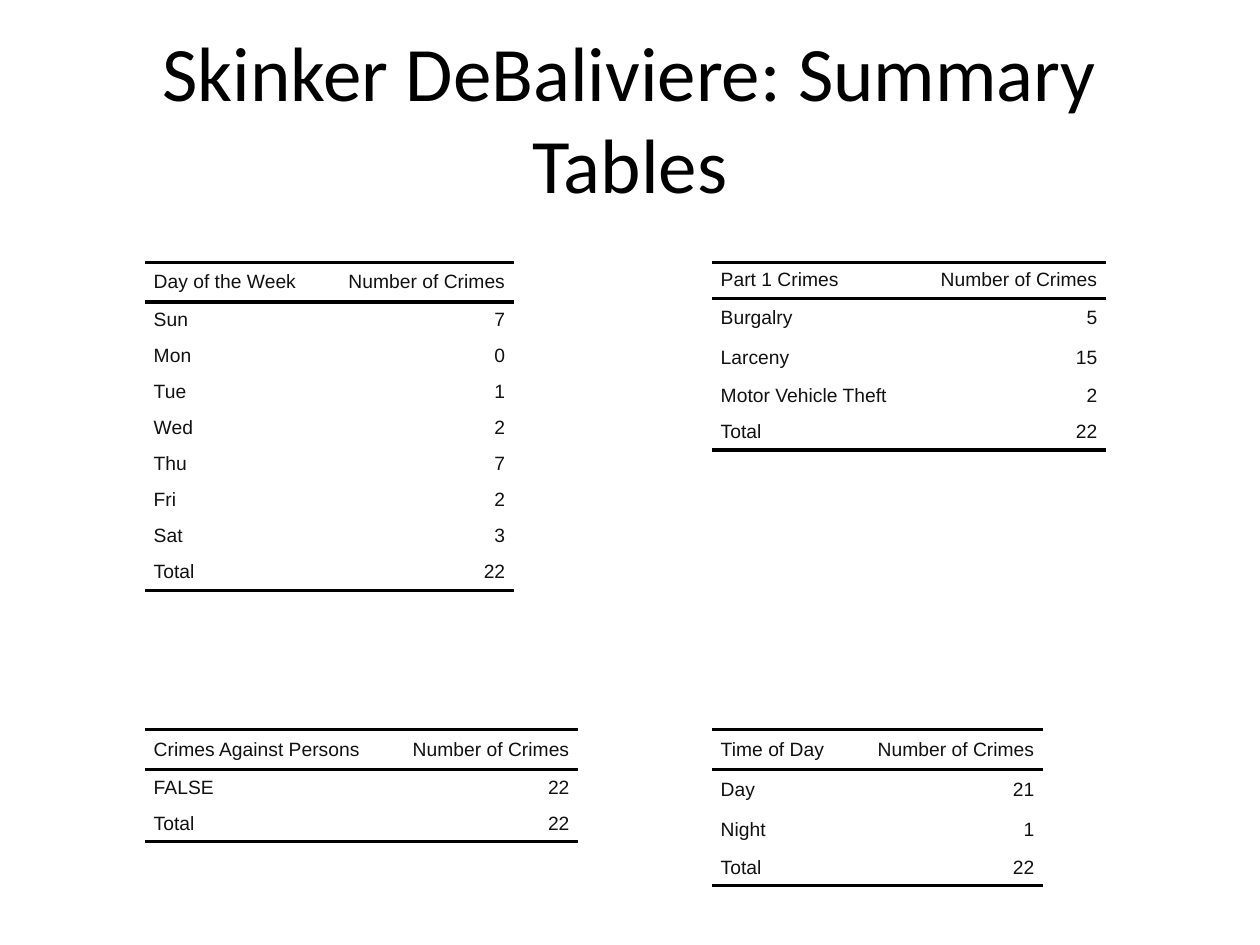
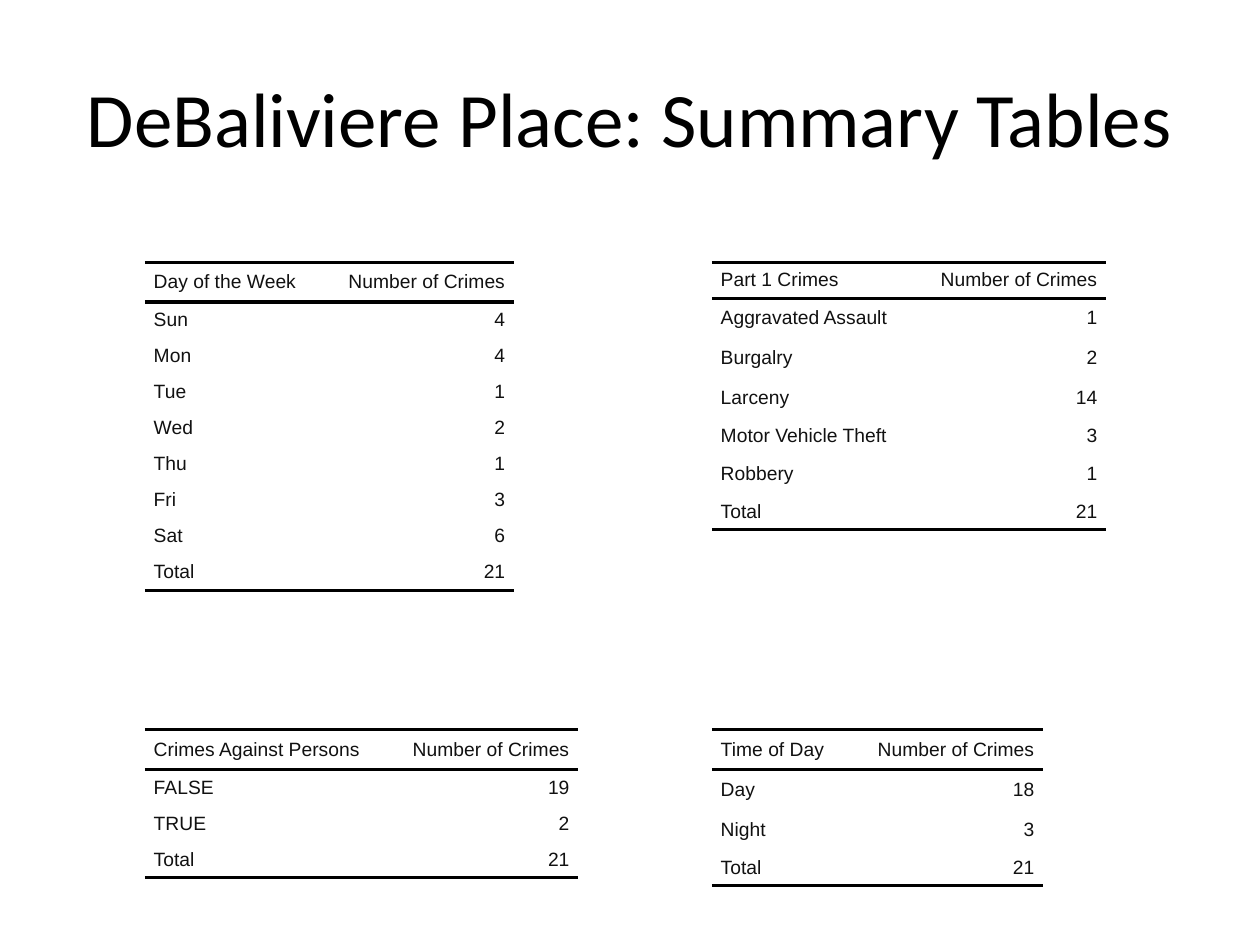
from lxml.etree import SubElement
from pptx import Presentation
from pptx.dml.color import RGBColor
from pptx.enum.text import MSO_ANCHOR, PP_ALIGN
from pptx.oxml.ns import qn
from pptx.util import Inches, Pt

BLACK = RGBColor(0x00, 0x00, 0x00)
INK = RGBColor(0x11, 0x11, 0x11)
WHITE = RGBColor(0xFF, 0xFF, 0xFF)

# Grid of 100 columns by 75 rows
UNIT = Inches(0.1)
COLUMNS, ROWS = 100, 75
TITLE_BOX = (5, 3, 90, 12.5)
LEFT, RIGHT = 11.5, 56.5
UPPER, LOWER = 20.8, 57.9
COUNT_WIDTH = 15.2
SHORT_ROW, TALL_ROW = 2.86, 3.17
TEXT_INDENT = 0.7

NO_GRID_STYLE = "{2D5ABB26-0587-4C30-8999-92F81FD0307C}"
RULE = Pt(2)

# Heading: left, top, width of the label column
TABLE_PLACES = {
    "Part 1 Crimes": (RIGHT, UPPER, 16.1),
    "Day of the Week": (LEFT, UPPER, 14.1),
    "Crimes Against Persons": (LEFT, LOWER, 19.2),
    "Time of Day": (RIGHT, LOWER, 11.1),
}
TALL_LABELS = {
    "Day of the Week", "Crimes Against Persons", "Time of Day",
    "Aggravated Assault", "Burgalry", "Larceny", "Robbery", "Day", "Night",
}
DAYS = ("Sun", "Mon", "Tue", "Wed", "Thu", "Fri", "Sat")

NEIGHBORHOODS = {
    "Skinker DeBaliviere": {
        "Part 1 Crimes": {"Burgalry": 5, "Larceny": 15, "Motor Vehicle Theft": 2},
        "Day of the Week": dict(zip(DAYS, (7, 0, 1, 2, 7, 2, 3))),
        "Crimes Against Persons": {"FALSE": 22},
        "Time of Day": {"Day": 21, "Night": 1},
    },
    "DeBaliviere Place": {
        "Part 1 Crimes": {"Aggravated Assault": 1, "Burgalry": 2, "Larceny": 14,
                          "Motor Vehicle Theft": 3, "Robbery": 1},
        "Day of the Week": dict(zip(DAYS, (4, 4, 1, 2, 1, 3, 6))),
        "Crimes Against Persons": {"FALSE": 19, "TRUE": 2},
        "Time of Day": {"Day": 18, "Night": 3},
    },
}


def grid(*cells):
    """Turn grid units into slide lengths."""
    return [int(UNIT * cell) for cell in cells]


def style_text(para, font_name, size, color, align):
    para.alignment = align
    font = para.runs[0].font
    font.name, font.size = font_name, Pt(size)
    font.color.rgb = color


def add_title(page, text, box):
    frame = page.shapes.add_textbox(*grid(*box)).text_frame
    frame.word_wrap = True
    frame.vertical_anchor = MSO_ANCHOR.MIDDLE
    frame.text = text
    style_text(frame.paragraphs[0], "Calibri", 44, BLACK, PP_ALIGN.CENTER)


def set_borders(cell, ruled_sides):
    properties = cell._tc.get_or_add_tcPr()
    for side in "LRTB":
        line = SubElement(properties, qn(f"a:ln{side}"))
        if side in ruled_sides:
            line.set("w", str(RULE))
            fill = SubElement(line, qn("a:solidFill"))
            SubElement(fill, qn("a:srgbClr")).set("val", str(BLACK))
        else:
            SubElement(line, qn("a:noFill"))


def fill_cell(cell, text, align, ruled_sides):
    set_borders(cell, ruled_sides)
    cell.fill.background()
    cell.vertical_anchor = MSO_ANCHOR.MIDDLE
    cell.margin_left = cell.margin_right = cell.margin_top = cell.margin_bottom = 0
    cell.text = text
    para = cell.text_frame.paragraphs[0]
    indent = str(grid(TEXT_INDENT)[0])
    for side in ("marL", "marR"):
        para._p.get_or_add_pPr().set(side, indent)
    style_text(para, "Arial", 11, INK, align)


def add_count_table(page, heading, counts, place):
    left, top, label_width = place
    entries = [(heading, "Number of Crimes"), *counts.items(),
               ("Total", sum(counts.values()))]
    widths = (label_width, COUNT_WIDTH)
    heights = [TALL_ROW if label in TALL_LABELS else SHORT_ROW
               for label, _ in entries]

    # Plain table without header or band styling
    frame = page.shapes.add_table(
        len(entries), 2, *grid(left, top, sum(widths), sum(heights)))
    table = frame.table
    table.first_row = table.horz_banding = False
    table._tbl.tblPr.find(qn("a:tableStyleId")).text = NO_GRID_STYLE
    for column, width in zip(table.columns, grid(*widths)):
        column.width = width
    for row, height in zip(table.rows, grid(*heights)):
        row.height = height

    # Rules around the heading and below the total
    ruled_sides = {0: "TB", 1: "T", len(entries) - 1: "B"}
    for index, entry in enumerate(entries):
        for column, align in enumerate((PP_ALIGN.LEFT, PP_ALIGN.RIGHT)):
            fill_cell(table.cell(index, column), str(entry[column]), align,
                      ruled_sides.get(index, ""))


def add_summary_page(deck, neighborhood, tables):
    page = deck.slides.add_slide(deck.slide_layouts[6])
    page.background.fill.solid()
    page.background.fill.fore_color.rgb = WHITE
    add_title(page, f"{neighborhood}: Summary Tables", TITLE_BOX)
    for heading, counts in tables.items():
        add_count_table(page, heading, counts, TABLE_PLACES[heading])


def main():
    deck = Presentation()
    deck.slide_width, deck.slide_height = grid(COLUMNS, ROWS)
    for neighborhood, tables in NEIGHBORHOODS.items():
        add_summary_page(deck, neighborhood, tables)
    deck.save("out.pptx")


if __name__ == "__main__":
    main()
